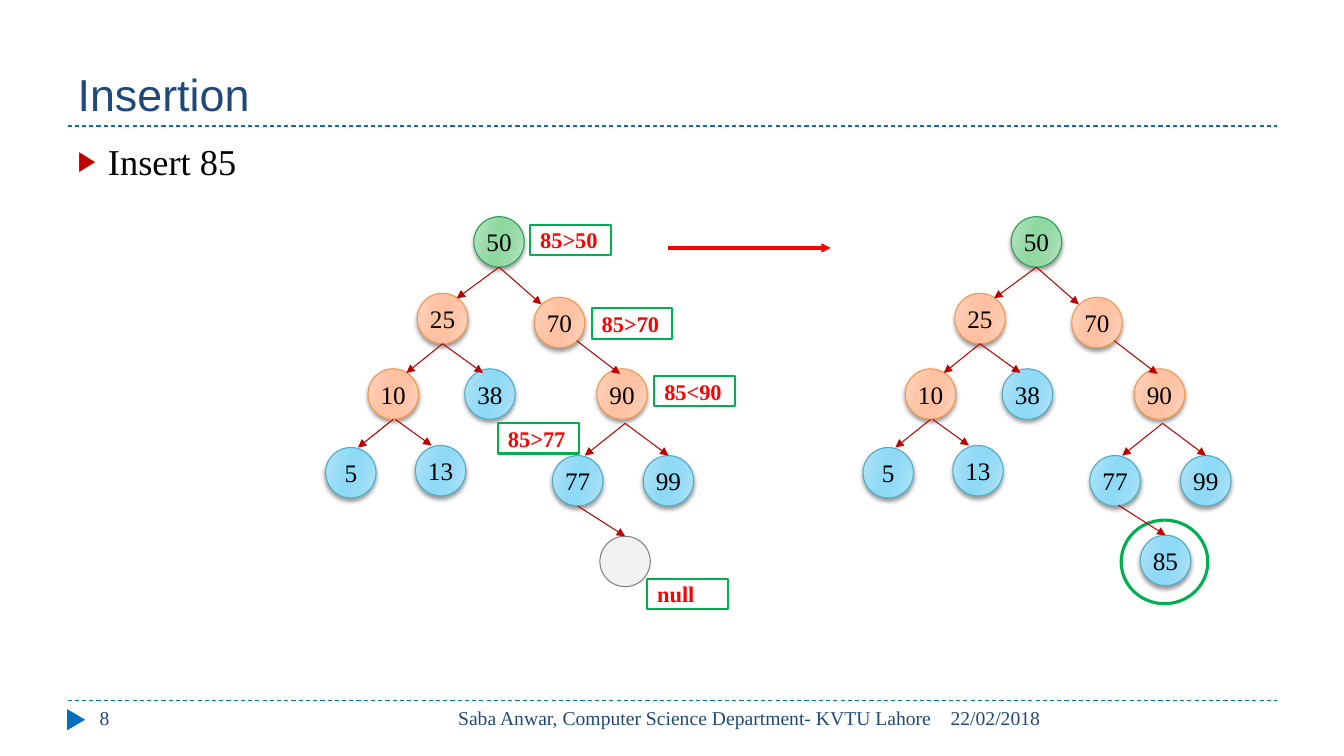
"""Build a slide that shows the insertion of 85 into a binary search tree."""
from pptx import Presentation
from pptx.dml.color import RGBColor
from pptx.enum.dml import MSO_LINE
from pptx.enum.shapes import MSO_CONNECTOR, MSO_SHAPE
from pptx.enum.text import MSO_ANCHOR, MSO_AUTO_SIZE, PP_ALIGN
from pptx.oxml import parse_xml
from pptx.oxml.ns import nsdecls
from pptx.util import Inches, Pt

NAVY, BLUE, RED, GREEN = "1F497D", "0070C0", "C00000", "00B050"
SERIF = "Times New Roman"
color = RGBColor.from_string


def write(shape, text, size=18, font=SERIF, fill="000000", bold=False,
          align=PP_ALIGN.LEFT, anchor=MSO_ANCHOR.MIDDLE, side=0.1):
    frame = shape.text_frame
    frame.word_wrap = True
    frame.auto_size = MSO_AUTO_SIZE.NONE
    frame.vertical_anchor = anchor
    frame.margin_left = frame.margin_right = Inches(side)
    para = frame.paragraphs[0]
    para.alignment = align
    span = para.add_run()
    span.text = text
    span.font.size, span.font.name, span.font.bold = Pt(size), font, bold
    span.font.color.rgb = color(fill)
    return para


def link(start, end, stroke=RED, width=0.75, arrow=True):
    line = page.shapes.add_connector(MSO_CONNECTOR.STRAIGHT, *map(Inches, start + end))
    line.line.color.rgb = color(stroke)
    line.line.width = Pt(width)
    if arrow:
        line.line._get_or_add_ln().append(parse_xml(f'<a:tailEnd {nsdecls("a")} type="triangle"/>'))
    else:
        line.line.dash_style = MSO_LINE.DASH
    line._element.spPr.append(parse_xml(f'<a:effectLst {nsdecls("a")}/>'))


deck = Presentation()
deck.slide_width, deck.slide_height = Inches(13.33), Inches(7.5)
page = deck.slides.add_slide(deck.slide_layouts[1])

for rule_top in (6.95, 1.25):
    link((0.67, rule_top), (12.67, rule_top), BLUE, arrow=False)
marker = page.shapes.add_shape(MSO_SHAPE.ISOSCELES_TRIANGLE, *map(Inches, (0.65, 7.05, 0.21, 0.18)))
marker.rotation = 90
marker.shadow.inherit = False
marker.fill.solid()
marker.fill.fore_color.rgb = color(BLUE)
marker.line.fill.background()

title, body = page.placeholders
for box, top, height in ((title, 0.17, 1.08), (body, 1.33, 5.4)):
    box.left, box.top, box.width, box.height = map(Inches, (0.67, top, 12, height))
write(title, "Insertion", size=32, font="Arial", fill=NAVY, anchor=MSO_ANCHOR.BOTTOM)
bullet = write(body, "Insert 85", size=26, anchor=MSO_ANCHOR.TOP)
bullet.space_before = Pt(6)
bullet_format = bullet._p.get_or_add_pPr()
bullet_format.set("marL", str(Inches(0.3)))
bullet_format.set("indent", str(-Inches(0.3)))
for markup in (f'<a:buClr {nsdecls("a")}><a:srgbClr val="{RED}"/></a:buClr>',
               f'<a:buSzPct {nsdecls("a")} val="76000"/>',
               f'<a:buFont {nsdecls("a")} typeface="Arial"/>',
               f'<a:buChar {nsdecls("a")} char="▶"/>'):
    bullet_format.append(parse_xml(markup))

for text, left, width, align in (
        ("22/02/2018", 9.33, 3.34, PP_ALIGN.LEFT),
        ("Saba Anwar, Computer Science Department- KVTU Lahore", 4.23, 5.11, PP_ALIGN.RIGHT),
        ("8", 0.89, 2.89, PP_ALIGN.LEFT)):
    box = page.shapes.add_textbox(*map(Inches, (left, 6.95, width, 0.4)))
    write(box, text, size=14, fill=NAVY, align=align, anchor=MSO_ANCHOR.TOP)

root = ("279D57", "BBE4C5", "9BDBAB", "8FD8A1")
inner = ("F79646", "FFD7C5", "FFC6AA", "FFC1A1")
leaf = ("4BACC6", "B9E5F7", "99DCF6", "8DD9F6")
nodes = [("50", 4.7, 2.15, root), ("25", 4.14, 2.91, inner), ("70", 5.3, 2.95, inner),
         ("10", 3.65, 3.66, inner), ("38", 4.61, 3.66, leaf), ("90", 5.92, 3.66, inner),
         ("5", 3.23, 4.44, leaf), ("13", 4.12, 4.42, leaf),
         ("77", 5.48, 4.52, leaf), ("99", 6.38, 4.52, leaf)]
edges = [(4.95, 2.65, 4.53, 2.96), (4.95, 2.65, 5.37, 3.02), (4.39, 3.41, 4.03, 3.7),
         (4.39, 3.41, 4.79, 3.7), (5.72, 3.38, 6.15, 3.71), (6.2, 4.2, 5.8, 4.52),
         (6.2, 4.2, 6.63, 4.52), (3.92, 4.16, 4.28, 4.42), (3.9, 4.16, 3.55, 4.44)]
before = (0, nodes, edges + [(5.73, 5.02, 6.2, 5.32)])
after = (5.33, nodes + [("85", 5.98, 5.31, leaf)], edges + [(5.76, 5.01, 6.23, 5.31)])

for left, top, width, height, fill, stroke, weight in (
        (5.95, 5.32, 0.5, 0.5, "F2F2F2", "808080", 0.75),
        (11.12, 5.16, 0.86, 0.83, None, GREEN, 2.25)):
    ring = page.shapes.add_shape(MSO_SHAPE.OVAL, *map(Inches, (left, top, width, height)))
    ring.shadow.inherit = False
    ring.fill.background()
    if fill:
        ring.fill.solid()
        ring.fill.fore_color.rgb = color(fill)
    ring.line.color.rgb = color(stroke)
    ring.line.width = Pt(weight)

for offset, tree_nodes, tree_edges in (before, after):
    for key, left, top, (stroke, edge, mid, core) in tree_nodes:
        node = page.shapes.add_shape(MSO_SHAPE.OVAL, *map(Inches, (left + offset, top, 0.5, 0.5)))
        node.line.color.rgb = color(stroke)
        node.line.width = Pt(0.75)
        stops = "".join(f'<a:gs pos="{share}000"><a:srgbClr val="{tone}"/></a:gs>' for share, tone in
                        zip((0, 30, 45, 55, 73, 100), (edge, mid, core, core, mid, edge)))
        node._element.spPr.insert(2, parse_xml(
            f'<a:gradFill {nsdecls("a")} rotWithShape="1"><a:gsLst>{stops}</a:gsLst>'
            f'<a:lin ang="{16 * 60000}" scaled="0"/></a:gradFill>'))
        node._element.spPr.append(parse_xml(
            f'<a:effectLst {nsdecls("a")}><a:outerShdw blurRad="{Pt(3)}" dist="{Pt(2)}" '
            f'dir="{90 * 60000}" rotWithShape="0"><a:srgbClr val="000000"><a:alpha val="40000"/>'
            '</a:srgbClr></a:outerShdw></a:effectLst>'))
        write(node, key, align=PP_ALIGN.CENTER, side=0)
    for x1, y1, x2, y2 in tree_edges:
        link((x1 + offset, y1), (x2 + offset, y2))

link((6.63, 2.46), (8.24, 2.46), "FF0000", 2.25)
for text, left, top in (("85>50", 5.26, 2.23), ("85>70", 5.87, 3.06), ("85<90", 6.49, 3.73),
                        ("85>77", 4.94, 4.2), ("null", 6.42, 5.74)):
    label = page.shapes.add_shape(MSO_SHAPE.RECTANGLE, *map(Inches, (left, top, 0.8, 0.3)))
    label.shadow.inherit = False
    label.fill.background()
    label.line.color.rgb = color(GREEN)
    label.line.width = Pt(1.5)
    write(label, text, size=16, fill="FF0000", bold=True)

deck.save("out.pptx")
